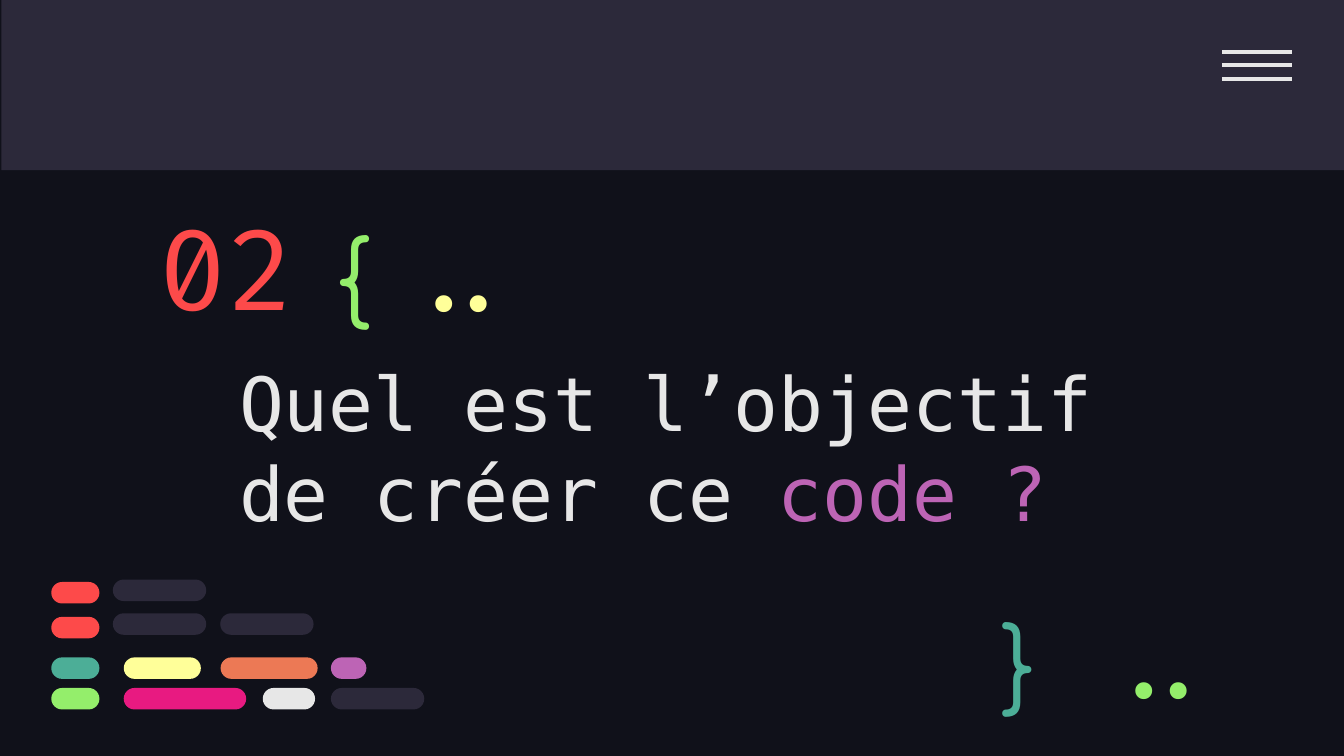
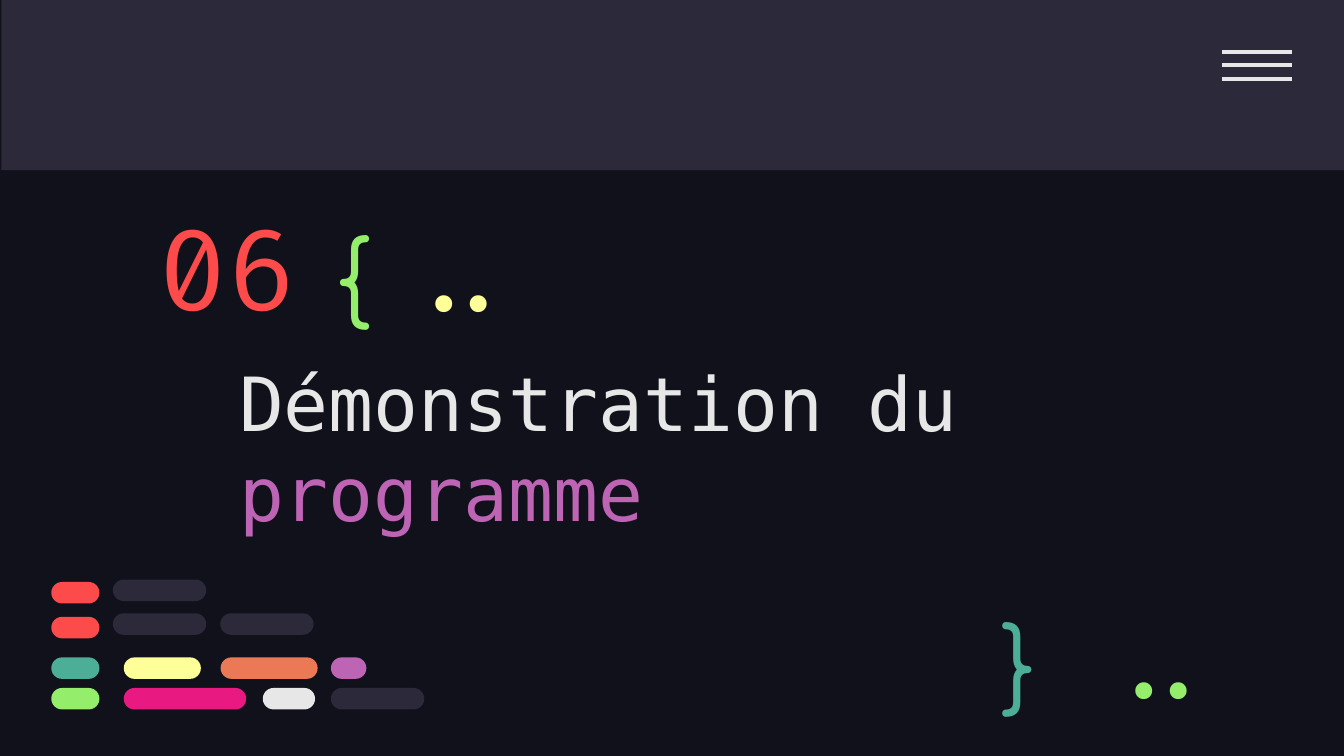
from lxml.etree import SubElement
from pptx import Presentation
from pptx.dml.color import RGBColor
from pptx.enum.shapes import MSO_CONNECTOR, MSO_SHAPE
from pptx.enum.text import MSO_ANCHOR, PP_ALIGN
from pptx.oxml.ns import qn
from pptx.util import Pt

# Colours
NIGHT = RGBColor(0x10, 0x11, 0x1A)
SLATE = RGBColor(0x2C, 0x29, 0x3A)
WHITE = RGBColor(0xE7, 0xE7, 0xE7)
RED = RGBColor(0xFD, 0x4A, 0x4A)
GREEN = RGBColor(0x94, 0xEE, 0x6B)
TEAL = RGBColor(0x4C, 0xAE, 0x97)
YELLOW = RGBColor(0xFF, 0xFF, 0x99)
ORANGE = RGBColor(0xEC, 0x79, 0x55)
PURPLE = RGBColor(0xBD, 0x64, 0xB5)
PINK = RGBColor(0xE8, 0x1A, 0x81)

# Fonts
TITLE_FONT = "DejaVu Sans Mono"
CODE_FONT = "Fira Code"
BRACE_FONT = "Comfortaa"

# Code bars: top of each row, then left, width and colour of its bars
BAR_HEIGHT = 11.5
BAR_ROWS = [
    (310.5, [(60.5, 50, SLATE)]),
    (311.8, [(27.5, 25.8, RED)]),
    (328.6, [(60.5, 50, SLATE), (118, 50, SLATE)]),
    (330.5, [(27.5, 25.8, RED)]),
    (352.2, [(27.5, 25.8, TEAL), (66.3, 41.3, YELLOW),
             (118.2, 52, ORANGE), (177.3, 19, PURPLE)]),
    (368.6, [(27.5, 25.8, GREEN), (66.3, 65.6, PINK),
             (140.8, 28, WHITE), (177.3, 50, SLATE)]),
]

# Section number and title, the end of the title being highlighted
SECTIONS = [
    ("02", "Quel est l’objectif de créer ce ", "code ?"),
    ("06", "Démonstration du ", "programme"),
]


def add_run(p, text, *, size, font, color):
    r = p.add_run()
    r.text = text
    r.font.size = Pt(size)
    r.font.name = font
    r.font.color.rgb = color


class Deck:
    def __init__(self, prs):
        self.prs = prs
        self.s = None

    def new_slide(self):
        self.s = self.prs.slides.add_slide(self.prs.slide_layouts[6])
        fill = self.s.background.fill
        fill.solid()
        fill.fore_color.rgb = NIGHT

    def box(self, x, y, w, h, color, kind=MSO_SHAPE.RECTANGLE):
        sp = self.s.shapes.add_shape(kind, Pt(x), Pt(y), Pt(w), Pt(h))
        sp.shadow.inherit = False
        sp.fill.solid()
        sp.fill.fore_color.rgb = color
        sp.line.fill.background()
        return sp

    def bar(self, x, y, w, color):
        sp = self.box(x, y, w, BAR_HEIGHT, color, MSO_SHAPE.ROUNDED_RECTANGLE)
        sp.adjustments[0] = 0.5

    def line(self, x1, x2, y):
        sp = self.s.shapes.add_connector(
            MSO_CONNECTOR.STRAIGHT, Pt(x1), Pt(y), Pt(x2), Pt(y))
        sp.line.color.rgb = WHITE
        sp.line.width = Pt(2.25)
        SubElement(sp._element.spPr, qn("a:effectLst"))

    def text(self, x, y, w, h, *runs, size, font,
             anchor=MSO_ANCHOR.MIDDLE, align=PP_ALIGN.LEFT):
        sp = self.s.shapes.add_textbox(Pt(x), Pt(y), Pt(w), Pt(h))
        tf = sp.text_frame
        tf.word_wrap = True
        tf.vertical_anchor = anchor
        tf.margin_left = tf.margin_right = Pt(7.2)
        tf.margin_top = tf.margin_bottom = Pt(7.2)
        p = tf.paragraphs[0]
        p.alignment = align
        for text, color in runs:
            add_run(p, text, size=size, font=font, color=color)

    def brace(self, x, y, w, h, sign, color):
        self.text(x, y, w, h, (sign, color), size=50, font=BRACE_FONT,
                  anchor=MSO_ANCHOR.TOP)

    def dots(self, x, y, color):
        self.text(x, y, 77, 43.2, ("..", color), size=50, font=CODE_FONT,
                  align=PP_ALIGN.RIGHT)

    def header(self):
        self.box(0.72, 0, 720, 91.2, SLATE)
        # Menu icon
        for i in range(3):
            self.line(654.6, 692, 27.8 + 7.2 * i)

    def code_bars(self):
        for y, bars in BAR_ROWS:
            for x, w, color in bars:
                self.bar(x, y, w, color)

    def section(self, number, title, highlight):
        self.new_slide()
        self.header()
        # Title and number
        self.text(121, 192.2, 522.7, 94.3, (title, WHITE), (highlight, PURPLE),
                  size=40, font=TITLE_FONT)
        self.text(77.8, 106.6, 130.3, 72, (number, RED),
                  size=60, font=CODE_FONT)
        # Braces and dots
        self.brace(172.8, 108, 55.4, 68.4, "{", GREEN)
        self.brace(529.2, 315.4, 41, 59.8, "}", TEAL)
        self.dots(583.2, 332.6, GREEN)
        self.dots(208.1, 125.3, YELLOW)
        self.code_bars()


def main():
    prs = Presentation()
    prs.slide_width, prs.slide_height = Pt(720), Pt(405)
    deck = Deck(prs)
    for number, title, highlight in SECTIONS:
        deck.section(number, title, highlight)
    prs.save("out.pptx")


if __name__ == "__main__":
    main()
